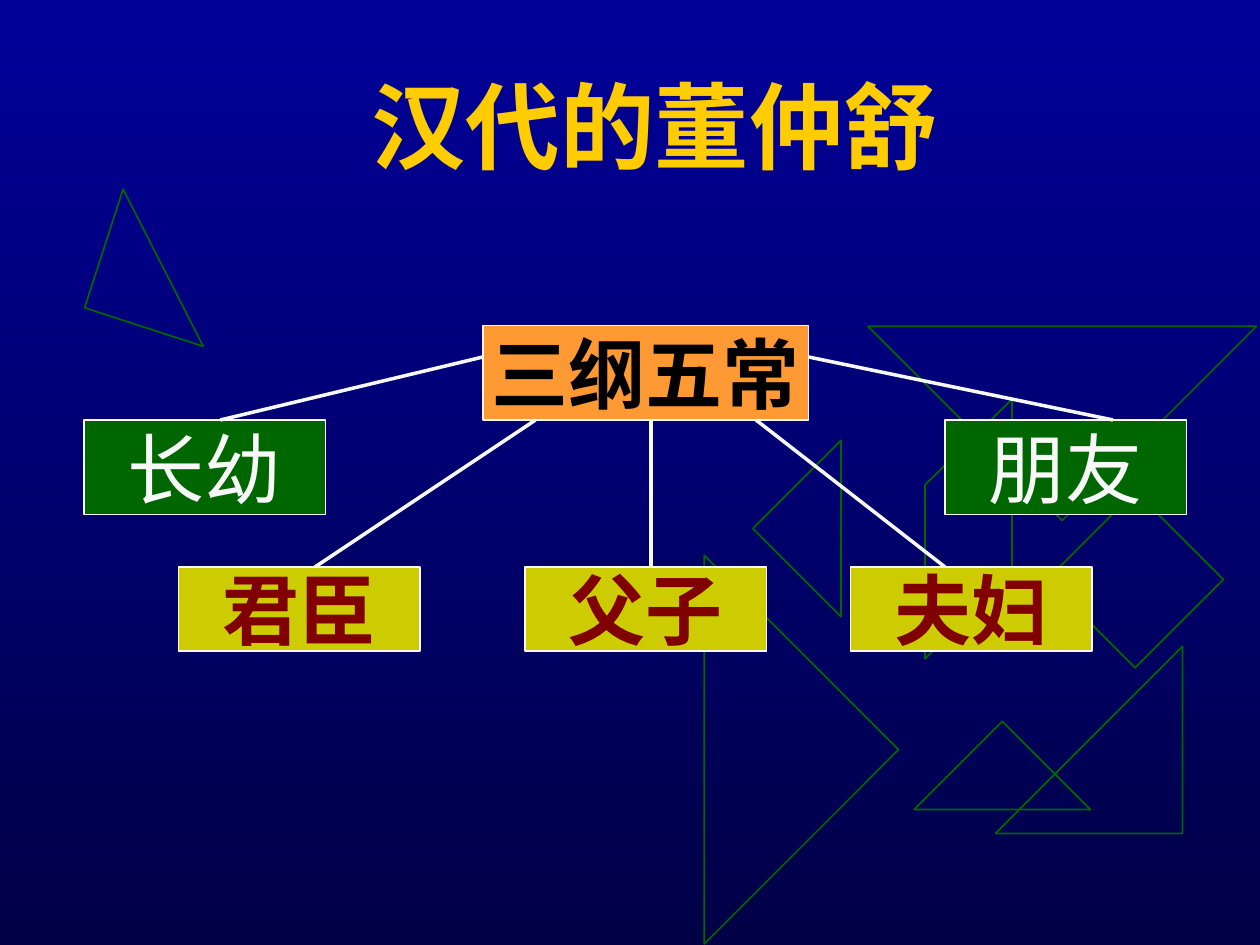
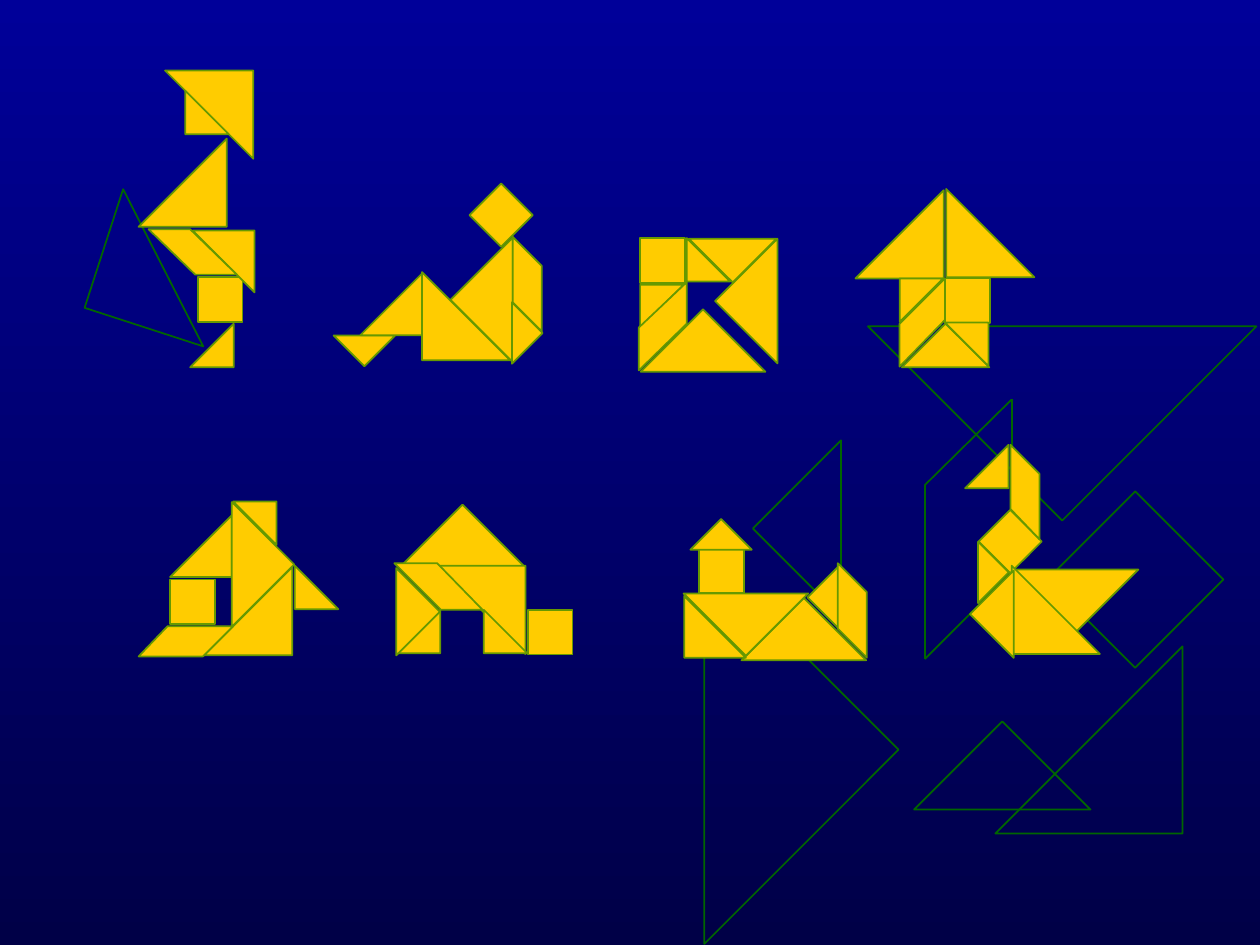
"""Two slides: the order of relations as a tree, and eight tangram figures."""
import dataclasses
import itertools

import pptx
import pptx.dml.color
import pptx.enum.shapes
import pptx.enum.text
import pptx.oxml
import pptx.util

COLORS = {
    "sky": "000099", "night": "000047", "outline": "006600",
    "title": "FFCC00", "piece": "FFCC00", "piece_edge": "669900",
    "white": "F8F8F8", "black": "000000", "orange": "FF9933",
    "green": "006600", "olive": "CCCC00", "maroon": "800000",
}
FONT = "Times New Roman"
WIDTH, HEIGHT = pptx.util.Inches(10), pptx.util.Inches(7.5)
SHAPE = pptx.enum.shapes.MSO_SHAPE
EFFECTS = '<a:effectLst xmlns:a="http://schemas.openxmlformats.org/drawingml/2006/main"/>'
TITLE_LAYOUT, BLANK_LAYOUT = 5, 6

OUTLINE_TRIANGLES = [
    (8, 16.3, 9.9, 18), (74.6, 59.3, 9.9, 135), (79, 51.3, 14.85, 270),
    (45, 48.6, 21.8, 225), (61.8, 37, 9.9, 45), (73.4, 15, 21.8, 315),
]
OUTLINE_SLANT = [(73.4, 38.5), (73.4, 52.3), (80.3, 45.4), (80.3, 31.7)]

PIECE_SIZES = {"large": 7, "medium": 4.9, "small": 3.45, "square": 3.55}
FIGURES = [
    ((10, 5), [
        ("square", 5.7, 17, 0), ("large", 3.1, 0.6, 180), ("medium", 5.3, 13.3, 180),
        ("large", 1, 6, 270), ("small", 4.7, 2.2, 0), ("small", 5.1, 20.7, 270),
        ("slant", (1.8, 13.2), (5.5, 16.8), (8.8, 16.8), (5.1, 13.2))]),
    ((26, 15), [
        ("large", 11.2, 5.3, 45), ("small", 1.2, 9.9, 315), ("square", 12, 0.3, 315),
        ("medium", 2.6, 6.7, 270), ("large", 7.5, 6.6, 0), ("small", 12.9, 9.7, 225),
        ("slant", (17, 11.3), (17, 6.1), (14.7, 3.8), (14.7, 9))]),
    ((50, 15), [
        ("square", 0.8, 3.9, 0), ("large", 8.2, 5.4, 45), ("medium", 5.7, 1.5, 315),
        ("large", 2.3, 11, 135), ("small", 4.5, 3.9, 0), ("small", 0.8, 7.6, 90),
        ("slant", (0.7, 14.4), (4.5, 10.7), (4.5, 7.4), (0.7, 11))]),
    ((67, 15), [
        ("medium", 5.6, 11.7, 135), ("square", 8, 7.1, 0), ("large", 8.1, 0, 0),
        ("large", 0.9, 0.1, 270), ("small", 8, 10.6, 180), ("small", 4.4, 7.1, 90),
        ("slant", (4.4, 14.1), (8, 10.4), (8, 7.1), (4.4, 10.7))]),
    ((10, 35), [
        ("medium", 3.5, 5.9, 270), ("square", 3.5, 11, 0), ("large", 4.9, 6.3, 225),
        ("large", 6.2, 10, 270), ("small", 8.5, 4.8, 180), ("small", 13.4, 9.9, 0),
        ("slant", (1, 17.1), (6.1, 17.1), (8.5, 14.7), (3.3, 14.7))]),
    ((28, 40), [
        ("square", 13.9, 8.4, 0), ("large", 5.2, 1.5, 135), ("large", 6.7, 4.9, 180),
        ("small", 3.5, 8.4, 270), ("small", 10.4, 8.4, 0),
        ("slant", (3.3, 4.7), (7, 8.4), (10.3, 8.4), (6.7, 4.7)),
        ("medium", 1, 6.1, 225)]),
    ((54, 40), [
        ("large", 6.3, 8.9, 135), ("medium", 0.3, 7.3, 0), ("square", 1.5, 3.5, 0),
        ("large", 1.7, 3.6, 315), ("small", 1.5, 1.9, 135), ("small", 10.8, 5.7, 45),
        ("slant", (12.5, 4.7), (12.5, 9.9), (14.8, 12.2), (14.8, 7))]),
    ((75, 35), [
        ("square", 3.4, 6.2, 315), ("large", 6.9, 6.7, 315), ("large", 5.3, 9.9, 0),
        ("small", 1.6, 0.3, 270), ("small", 0.9, 8.7, 225),
        ("slant", (5.2, 5.4), (7.5, 7.8), (7.5, 2.6), (5.2, 0.3)),
        ("medium", 3, 11.3, 45)]),
]


@dataclasses.dataclass
class Box:
    """A region of the slide, measured in square cells."""
    left: float = 0
    top: float = 0
    columns: int = 100

    def size(self, cells):
        """Return a length in cells as EMU."""
        return round(cells * WIDTH / self.columns)

    def point(self, column, row):
        """Return the slide position of a cell of this box."""
        return self.size(self.left + column), self.size(self.top + row)


def color(name):
    """Return a named colour."""
    return pptx.dml.color.RGBColor.from_string(COLORS[name])


def style(sp, fill, line, width):
    """Set fill, outline and no shadow on a shape."""
    sp.shadow.inherit = False
    if fill:
        sp.fill.solid()
        sp.fill.fore_color.rgb = color(fill)
    else:
        sp.fill.background()
    sp.line.color.rgb = color(line)
    sp.line.width = pptx.util.Pt(width)
    return sp


def add_shape(s, box, kind, place, fill, line, width=1, rotation=0):
    """Add a preset shape at a place given in cells of the box."""
    x, y, w, h = place
    sp = s.shapes.add_shape(kind, *box.point(x, y), box.size(w), box.size(h))
    sp.rotation = rotation
    return style(sp, fill, line, width)


def add_line(s, box, start, end, line, width):
    """Add a straight line between two cells of the box."""
    cn = s.shapes.add_connector(pptx.enum.shapes.MSO_CONNECTOR.STRAIGHT,
                                *box.point(*start), *box.point(*end))
    cn.line.color.rgb = color(line)
    cn.line.width = pptx.util.Pt(width)
    cn.element.spPr.append(pptx.oxml.parse_xml(EFFECTS))
    return cn


def write(sp, text, size, ink, bold=False, wrap=True, spacing=None):
    """Write one centred line of formatted text into a shape."""
    tf = sp.text_frame
    tf.word_wrap = wrap
    tf.vertical_anchor = pptx.enum.text.MSO_ANCHOR.MIDDLE
    p = tf.paragraphs[0]
    p.alignment = pptx.enum.text.PP_ALIGN.CENTER
    p.line_spacing = spacing
    r = p.add_run()
    r.text = text
    r.font.name, r.font.size, r.font.bold = FONT, pptx.util.Pt(size), bold
    r.font.color.rgb = color(ink)


def build_master(prs, s, box):
    """Give the master its gradient and its outlined tangram pieces."""
    master = prs.slide_master
    fill = master.background.fill
    fill.gradient()
    fill.gradient_angle = 270
    for stop, name in zip(fill.gradient_stops, ("sky", "night")):
        stop.color.rgb = color(name)
    parts = [add_shape(s, box, SHAPE.RIGHT_TRIANGLE, (x, y, n, n), None, "outline",
                       rotation=turn) for x, y, n, turn in OUTLINE_TRIANGLES]
    parts.append(add_shape(s, box, SHAPE.DIAMOND, (83.1, 39, 14, 14), None, "outline"))
    for start, end in itertools.pairwise(OUTLINE_SLANT + OUTLINE_SLANT[:1]):
        parts.append(add_line(s, box, start, end, "outline", 1))
    for number, part in enumerate(parts, 100):
        part.element.xpath(".//p:cNvPr")[0].set("id", str(number))
        master.element.cSld.spTree.append(part.element)


def build_title(s, box, text):
    """Place and fill the title placeholder."""
    sp = s.shapes.title
    sp.left, sp.top = box.point(0, 0)
    sp.width, sp.height = box.size(77.5), box.size(14)
    write(sp, text, 54, "title", bold=True, spacing=0.9)


def build_tree(s, box):
    """Draw the root, its five relations and the lines between them."""
    nodes = [("三纲五常", (38, 0, 31, 9), "orange", "black", True)]
    nodes += [(text, (x, 9, 23, 9), "green", "white", False)
              for text, x in (("长幼", 0), ("朋友", 82))]
    nodes += [(text, (x, 23, 23, 8), "olive", "maroon", True)
              for text, x in (("君臣", 9), ("父子", 42), ("夫妇", 73))]
    for text, place, fill, ink, bold in nodes:
        sp = add_shape(s, box, SHAPE.RECTANGLE, place, fill, "white", 0.75)
        write(sp, text, 44, ink, bold=bold, wrap=False)
    for start, end in (((54, 9), (54, 23)), ((38, 3), (13, 9)), ((69, 3), (98, 9)),
                       ((43, 9), (22, 23)), ((64, 9), (82, 23))):
        add_line(s, box, start, end, "white", 2)


def build_figure(s, box, pieces):
    """Lay the seven tangram pieces of one figure."""
    for kind, *place in pieces:
        if kind == "slant":
            start, *rest = [box.point(*corner) for corner in place]
            fb = s.shapes.build_freeform(*start)
            fb.add_line_segments(rest)
            style(fb.convert_to_shape(), "piece", "piece_edge", 1)
        else:
            x, y, turn = place
            n = PIECE_SIZES[kind]
            preset = SHAPE.RECTANGLE if kind == "square" else SHAPE.RIGHT_TRIANGLE
            add_shape(s, box, preset, (x, y, n, n), "piece", "piece_edge", rotation=turn)


def main():
    """Build and save both slides."""
    prs = pptx.Presentation()
    prs.slide_width, prs.slide_height = WIDTH, HEIGHT
    s = prs.slides.add_slide(prs.slide_layouts[TITLE_LAYOUT])
    build_master(prs, s, Box())
    build_tree(s, Box(8, 31, columns=120))
    build_title(s, Box(13.2, 3.5), "汉代的董仲舒")
    s = prs.slides.add_slide(prs.slide_layouts[BLANK_LAYOUT])
    for corner, pieces in FIGURES:
        build_figure(s, Box(*corner), pieces)
    prs.save("out.pptx")


if __name__ == "__main__":
    main()
